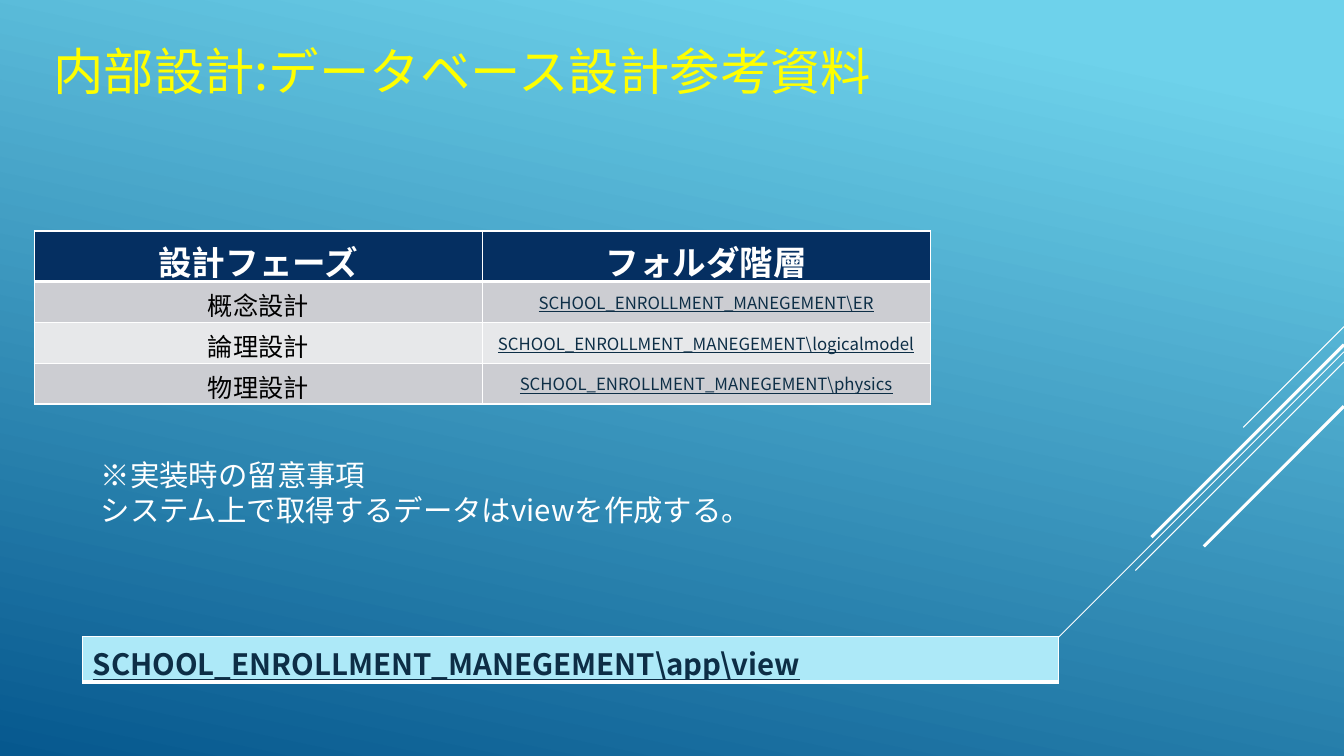
import pptx
import pptx.dml.color
import pptx.enum.shapes
import pptx.enum.text
import pptx.oxml
import pptx.oxml.ns
import pptx.util

Pt = pptx.util.Pt
CENTER = pptx.enum.text.PP_ALIGN.CENTER
LEFT = pptx.enum.text.PP_ALIGN.LEFT
MIDDLE = pptx.enum.text.MSO_ANCHOR.MIDDLE
TOP = pptx.enum.text.MSO_ANCHOR.TOP

# Content
TITLE = "内部設計:データベース設計参考資料"
HEADINGS = ["設計フェーズ", "フォルダ階層"]
PHASES = [
    ("概念設計", "SCHOOL_ENROLLMENT_MANEGEMENT\\ER"),
    ("論理設計", "SCHOOL_ENROLLMENT_MANEGEMENT\\logicalmodel"),
    ("物理設計", "SCHOOL_ENROLLMENT_MANEGEMENT\\physics"),
]
NOTES = ["※実装時の留意事項", "システム上で取得するデータはviewを作成する。"]
VIEW_FOLDER = "SCHOOL_ENROLLMENT_MANEGEMENT\\app\\view"

# Diagonals fall at 45 degrees from the right edge: start height, run, width
DIAGONALS = [
    (233.3, 72, 0.75),
    (251.3, 234.7, 0.75),
    (258.5, 149, 0.75),
    (246.2, 137.5, 2.25),
    (290.2, 100.1, 2.25),
]

THEME = {
    "font": "Noto Sans CJK JP", "phase_font": "League Spartan",
    "sky": "6ED2EB", "deep": "06588E", "title": "FFFF00",
    "white": "FFFFFF", "black": "000000", "link": "0D2E46",
    "header": "052F61", "bands": ["CCCDD2", "E7E8EA"], "view": "ADE9F8",
    "title_size": 36, "header_size": 24, "phase_size": 18,
    "link_size": 12, "note_size": 21,
}
SLIDE_WIDTH, SLIDE_HEIGHT = 960, 540


def colour(name):
    return pptx.dml.color.RGBColor.from_string(name)


def add_span(para, text, size, ink, font=THEME["font"], bold=False, underline=False):
    span = para.add_run()
    span.text = text
    span.font.name = font
    span.font.size = Pt(size)
    span.font.color.rgb = colour(ink)
    span.font.bold = bold
    span.font.underline = underline


def add_text(page, lines, left, top, width, height, size, ink):
    box = page.shapes.add_textbox(Pt(left), Pt(top), Pt(width), Pt(height))
    frame = box.text_frame
    frame.word_wrap = True
    for index, line in enumerate(lines):
        para = frame.paragraphs[0] if index == 0 else frame.add_paragraph()
        add_span(para, line, size, ink)


def add_grid(page, left, top, width, row_height, rows, columns):
    grid = page.shapes.add_table(rows, columns, Pt(left), Pt(top),
                                 Pt(width), Pt(row_height * rows)).table
    for column in grid.columns:
        column.width = Pt(width / columns)
    for row in grid.rows:
        row.height = Pt(row_height)
    return grid


def fill_cell(cell, text, fill, align, anchor, bottom_width, **style):
    para = cell.text_frame.paragraphs[0]
    para.alignment = align
    cell.vertical_anchor = anchor
    add_span(para, text, **style)
    # Borders come before the fill in the cell properties
    properties = cell._tc.get_or_add_tcPr()
    for side in "LRTB":
        width = bottom_width if side == "B" else 1
        properties.append(pptx.oxml.parse_xml(
            f'<a:ln{side} {pptx.oxml.ns.nsdecls("a")} w="{Pt(width)}"><a:solidFill>'
            f'<a:srgbClr val="{THEME["white"]}"/></a:solidFill></a:ln{side}>'))
    cell.fill.solid()
    cell.fill.fore_color.rgb = colour(fill)


deck = pptx.Presentation()
deck.slide_width, deck.slide_height = Pt(SLIDE_WIDTH), Pt(SLIDE_HEIGHT)
page = deck.slides.add_slide(deck.slide_layouts[6])

# Background
backdrop = page.background.fill
backdrop.gradient()
backdrop.gradient_angle = 360 - 102
for stop, position, name in zip(backdrop.gradient_stops, (0.1, 1), ("sky", "deep")):
    stop.position = position
    stop.color.rgb = colour(THEME[name])

# Diagonal lines
for top, run, width in DIAGONALS:
    line = page.shapes.add_connector(
        pptx.enum.shapes.MSO_CONNECTOR.STRAIGHT,
        Pt(SLIDE_WIDTH), Pt(top), Pt(SLIDE_WIDTH - run), Pt(top + run))
    line.line.color.rgb = colour(THEME["white"])
    line.line.width = Pt(width)
    line._element.spPr.append(
        pptx.oxml.parse_xml(f'<a:effectLst {pptx.oxml.ns.nsdecls("a")}/>'))

# Title
add_text(page, [TITLE], 31, 25.2, 614, 51, THEME["title_size"], THEME["title"])

# Design phases
phases = add_grid(page, 24.5, 165, 640, 29.2, len(PHASES) + 1, len(HEADINGS))
for column, heading in enumerate(HEADINGS):
    fill_cell(phases.cell(0, column), heading, THEME["header"], CENTER, MIDDLE, 3,
              size=THEME["header_size"], ink=THEME["white"], bold=True)
for row, (phase, folder) in enumerate(PHASES, start=1):
    band = THEME["bands"][(row - 1) % 2]
    fill_cell(phases.cell(row, 0), phase, band, CENTER, MIDDLE, 1,
              size=THEME["phase_size"], ink=THEME["black"], font=THEME["phase_font"])
    fill_cell(phases.cell(row, 1), folder, band, CENTER, MIDDLE, 1,
              size=THEME["link_size"], ink=THEME["link"], underline=True)

# Implementation notes
add_text(page, NOTES, 64.8, 322.6, 802, 58.3, THEME["note_size"], THEME["white"])

# View folder
view = add_grid(page, 59, 454.7, 697, 26, 1, 1)
fill_cell(view.cell(0, 0), VIEW_FOLDER, THEME["view"], LEFT, TOP, 3,
          size=THEME["note_size"], ink=THEME["link"], bold=True, underline=True)

deck.save("out.pptx")
